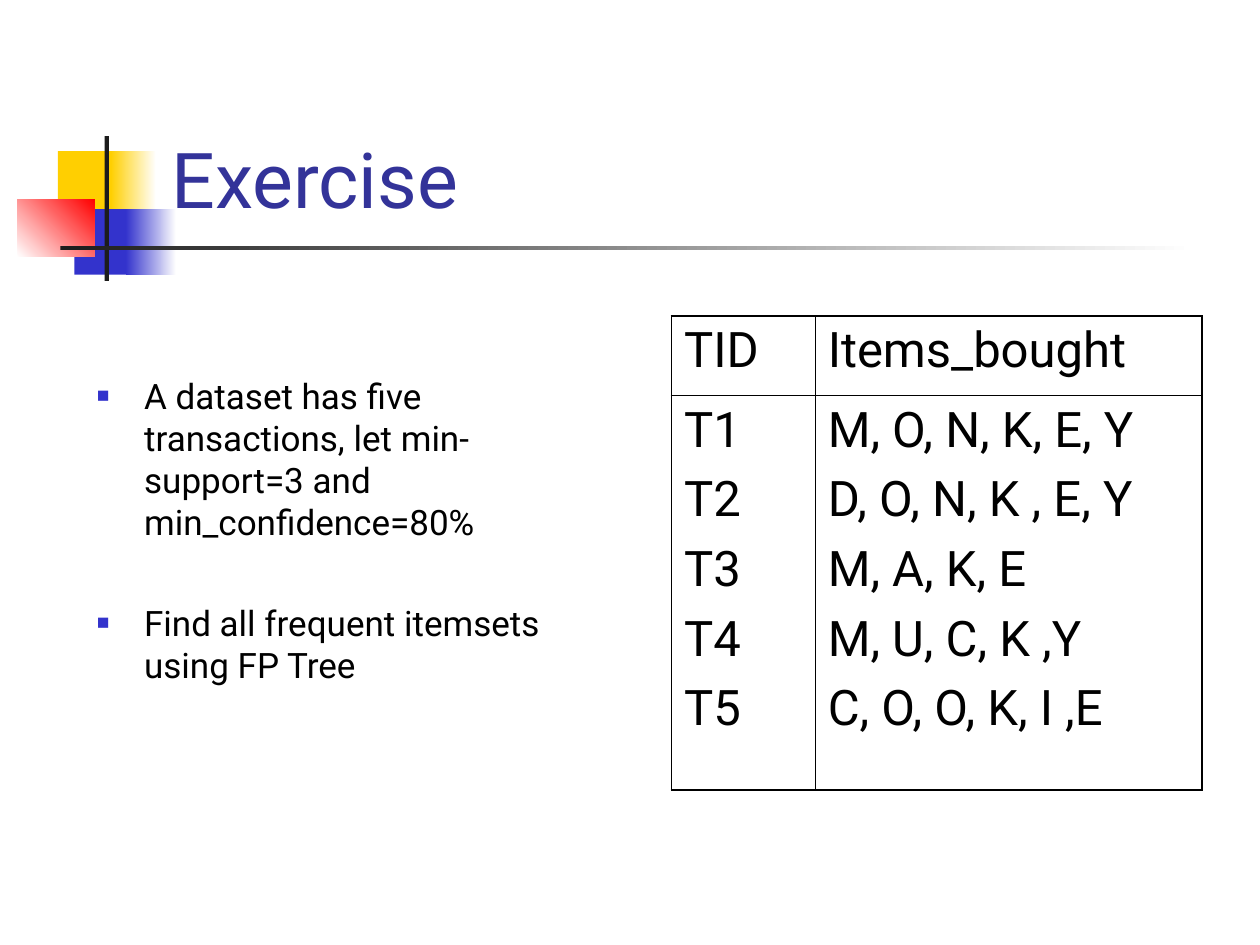
from lxml.etree import SubElement
from pptx import Presentation
from pptx.dml.color import RGBColor
from pptx.enum.shapes import MSO_SHAPE as Shape
from pptx.enum.text import MSO_ANCHOR as Anchor, MSO_AUTO_SIZE as AutoSize, PP_ALIGN as Align
from pptx.oxml.ns import qn
from pptx.util import Inches, Pt

COLS, ROWS = 100, 75  # grid units on a 10 x 7.5 inch slide
YELLOW, BLUE, RED = "FFCF01", "3333CC", "FF0000"
WHITE, BLACK, CHARCOAL, INDIGO = "FFFFFF", "000000", "1C1C1C", "333399"


def rgb(value):
    return RGBColor.from_string(value)


class Deck:
    """Holds the style and the current slide."""

    font = "Roboto"
    outer_border, inner_border = 1.08, 0.45

    def __init__(self):
        self.prs = Presentation()
        self.prs.slide_width, self.prs.slide_height = Inches(10), Inches(7.5)
        self.slide = self.prs.slides.add_slide(self.prs.slide_layouts[5])
        self.shapes = self.slide.shapes

    def x(self, cols):
        return round(self.prs.slide_width * cols / COLS)

    def y(self, rows):
        return round(self.prs.slide_height * rows / ROWS)

    def box(self, left, top, width, height):
        return self.x(left), self.y(top), self.x(width), self.y(height)

    def set_lines(self, frame, lines, size, color=BLACK, before=0):
        frame.text = "\n".join(lines)
        for paragraph in frame.paragraphs:
            paragraph.alignment = Align.LEFT
            paragraph.space_before = Pt(before)
            for run in paragraph.runs:
                font = run.font
                font.name, font.size, font.color.rgb = self.font, Pt(size), rgb(color)

    def block(self, area, start, end=None, angle=0):
        """A plain rectangle, or a gradient one when an end colour is given."""
        block = self.shapes.add_shape(Shape.RECTANGLE, *self.box(*area))
        block.shadow.inherit = False
        block.line.fill.background()
        if end is None:
            block.fill.solid()
            block.fill.fore_color.rgb = rgb(start)
            return
        block.fill.gradient()
        block.fill.gradient_angle = angle
        for stop, color in zip(block.fill.gradient_stops, (start, end)):
            stop.color.rgb = rgb(color)

    def title(self, area, text, size):
        title = self.shapes.title
        title.left, title.top, title.width, title.height = self.box(*area)
        frame = title.text_frame
        frame.auto_size, frame.vertical_anchor = AutoSize.NONE, Anchor.BOTTOM
        self.set_lines(frame, [text], size, INDIGO)
        self.shapes.element.append(title.element)  # in front of the blocks

    def bullets(self, area, items, size, gap):
        frame = self.shapes.add_textbox(*self.box(*area)).text_frame
        frame.word_wrap = True
        self.set_lines(frame, items, size, before=5)
        for paragraph in frame.paragraphs:
            props = paragraph._p.get_or_add_pPr()
            indent = self.x(3.75)
            props.set("marL", str(indent))
            props.set("indent", str(-indent))
            color = SubElement(props, qn("a:buClr"))
            SubElement(color, qn("a:srgbClr"), val=BLUE)
            SubElement(props, qn("a:buSzPct"), val="60000")
            SubElement(props, qn("a:buFont"), typeface="Arial")
            SubElement(props, qn("a:buChar"), char="■")
        for paragraph in frame.paragraphs[1:]:
            paragraph.space_before = Pt(gap)

    def borders(self, cell, outer_sides):
        props = cell._tc.get_or_add_tcPr()
        for place, side in enumerate("LRTB"):
            width = self.outer_border if side in outer_sides else self.inner_border
            line = SubElement(props, qn(f"a:ln{side}"), w=str(Pt(width)))
            fill = SubElement(line, qn("a:solidFill"))
            SubElement(fill, qn("a:srgbClr"), val=BLACK)
            props.insert(place, line)

    def table(self, left, top, widths, heights, rows, size):
        area = self.box(left, top, sum(widths), sum(heights))
        table = self.shapes.add_table(len(heights), len(widths), *area).table
        table.first_row = table.horz_banding = False
        for column, width in zip(table.columns, widths):
            column.width = self.x(width)
        for row, height in zip(table.rows, heights):
            row.height = self.y(height)
        for r, row in enumerate(rows):
            for c, lines in enumerate(row):
                cell = table.cell(r, c)
                self.set_lines(cell.text_frame, lines, size, before=7)
                cell.fill.background()
                self.borders(cell, "TB"[r] + "LR"[c])


def main():
    deck = Deck()

    # Overlapping colour blocks and the two rules
    deck.block((4.6, 12, 4.8, 5.2), YELLOW)
    deck.block((8.8, 12, 3.6, 5.2), YELLOW, WHITE)
    deck.block((5.9, 16.6, 4.6, 5.2), BLUE)
    deck.block((10, 16.6, 4, 5.2), BLUE, WHITE)
    deck.block((1.4, 15.8, 6.1, 4.6), WHITE, RED, angle=45)
    deck.block((8.3, 10.8, 0.35, 11.5), CHARCOAL)
    deck.block((4.8, 19.5, 90, 0.35), CHARCOAL, WHITE)

    # Title and task
    deck.title((12.6, 2.3, 85.2, 16), "Exercise", 44)
    deck.bullets((6.7, 29.2, 44.2, 27.1), [
        "A dataset has five transactions, let min-support=3 and min_confidence=80%",
        "Find all frequent itemsets using FP Tree",
    ], size=20, gap=34)

    # Transactions
    baskets = ["M, O, N, K, E, Y", "D, O, N, K , E, Y", "M, A, K, E",
               "M, U, C, K ,Y", "C, O, O, K, I ,E"]
    ids = [f"T{number}" for number in range(1, len(baskets) + 1)]
    deck.table(53.3, 25.1, widths=(11.4, 30.7), heights=(6.3, 31.3),
               rows=[(["TID"], ["Items_bought"]), (ids, baskets)], size=28)

    deck.prs.save("out.pptx")


if __name__ == "__main__":
    main()
